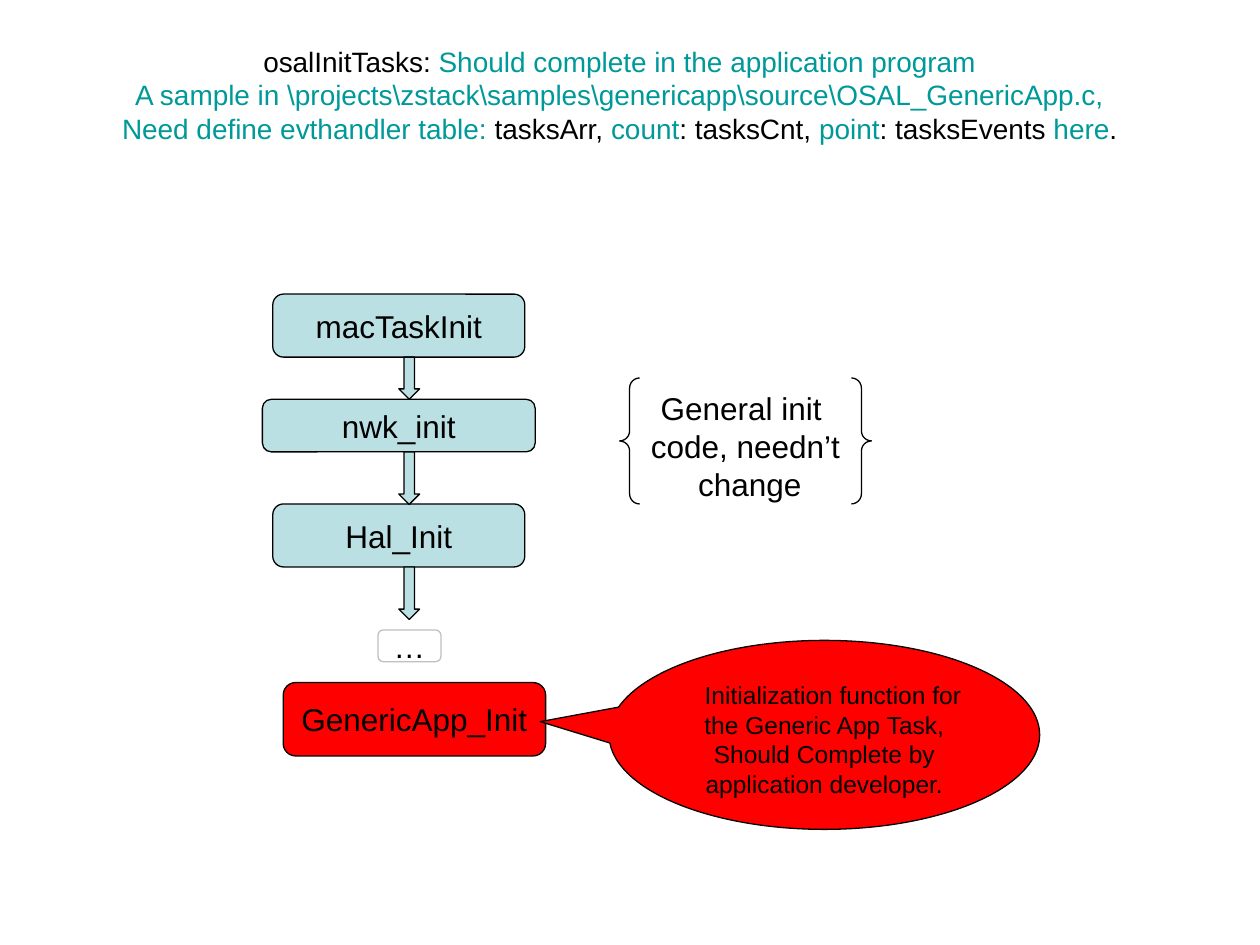
from lxml import etree
from pptx import Presentation
from pptx.dml.color import RGBColor
from pptx.enum.shapes import MSO_SHAPE
from pptx.enum.text import MSO_ANCHOR, PP_ALIGN
from pptx.oxml.ns import qn
from pptx.util import Cm, Pt

ROUNDED = MSO_SHAPE.ROUNDED_RECTANGLE
ARROW = MSO_SHAPE.DOWN_ARROW
BRACES = MSO_SHAPE.DOUBLE_BRACE
CALLOUT = MSO_SHAPE.OVAL_CALLOUT
CENTER = PP_ALIGN.CENTER
MIDDLE = MSO_ANCHOR.MIDDLE
TOP = MSO_ANCHOR.TOP

FONT = "Arial"
BLACK, TEAL, PALE, RED, GREY, WHITE = (
    "000000", "009999", "BBE0E3", "FF0000", "C0C0C0", "FFFFFF")

TITLE_LINES = [
    [("osalInitTasks: ", BLACK),
     ("Should complete in the application program", TEAL)],
    [("A sample in \\projects\\zstack\\samples\\genericapp\\source\\OSAL_GenericApp.c,", TEAL)],
    [("Need define evthandler table: ", TEAL), ("tasksArr, ", BLACK),
     ("count", TEAL), (": tasksCnt, ", BLACK), ("point", TEAL),
     (": tasksEvents ", BLACK), ("here", TEAL), (".", BLACK)],
]

STEPS = [
    ("macTaskInit", 0.21, 0, 5.08, 1.27, PALE, BLACK),
    ("nwk_init", 0, 2.12, 5.5, 1.06, PALE, BLACK),
    ("Hal_Init", 0.21, 4.23, 5.08, 1.27, PALE, BLACK),
    ("…", 2.33, 6.77, 1.27, 0.64, WHITE, GREY),
    ("GenericApp_Init", 0.42, 7.83, 5.29, 1.48, RED, BLACK),
]
ARROWS = [(1.27, 0.85), (3.18, 1.06), (5.5, 1.06)]


def color(value):
    return RGBColor.from_string(value)


def style_span(span, size, value=BLACK):
    span.font.name = FONT
    span.font.size = Pt(size)
    span.font.color.rgb = color(value)


def add_box(page, kind, left, top, width, height, fill, line, adjustments):
    box = page.shapes.add_shape(kind, Cm(left), Cm(top), Cm(width), Cm(height))
    box.shadow.inherit = False
    if fill:
        box.fill.solid()
        box.fill.fore_color.rgb = color(fill)
    else:
        box.fill.background()
    box.line.color.rgb = color(line)
    box.line.width = Pt(0.75)
    for index, value in enumerate(adjustments):
        box.adjustments[index] = value
    return box


def write(box, text, size=18, anchor=MIDDLE, wrap=False):
    frame = box.text_frame
    frame.word_wrap = wrap
    frame.vertical_anchor = anchor
    frame.text = text
    for para in frame.paragraphs:
        para.alignment = CENTER
        for span in para.runs:
            style_span(span, size)


def add_title(page, left, top, width, height):
    title = page.shapes.title
    title.left, title.top = Cm(left), Cm(top)
    title.width, title.height = Cm(width), Cm(height)
    title.text_frame.word_wrap = True
    title.text_frame.vertical_anchor = MIDDLE
    para = title.text_frame.paragraphs[0]
    para.alignment = CENTER
    for number, line in enumerate(TITLE_LINES):
        if number:
            para.add_line_break()
        for text, value in line:
            span = para.add_run()
            span.text = text
            style_span(span, 16, value)
    for line_break in para._p.findall(qn("a:br")):
        etree.SubElement(line_break, qn("a:rPr"), sz="1600")


def add_flow(page, left, top):
    for text, x, y, width, height, fill, line in STEPS:
        step = add_box(page, ROUNDED, left + x, top + y, width, height,
                       fill, line, [0.17])
        write(step, text)
    arrow_width = 0.42
    for y, height in ARROWS:
        add_box(page, ARROW, left + 2.75, top + y, arrow_width, height,
                PALE, BLACK, [0.5, 0.5])


def add_remark(page, left, top, width, height):
    braces = add_box(page, BRACES, left, top, width, height, None, BLACK, [0.08])
    write(braces, "General init \ncode, needn’t\n change")


def add_callout(page, left, top, width, height):
    callout = add_box(page, CALLOUT, left, top, width, height, RED, BLACK,
                      [-0.66, -0.07])
    write(callout, "Initialization function for the Generic App Task, "
          "Should Complete by application developer.", 14, TOP, True)
    callout.text_frame.margin_top = Cm(0.25)
    first = callout.text_frame.paragraphs[0]
    first._p.get_or_add_pPr().set("indent", str(Cm(0.35)))


def main():
    deck = Presentation()
    deck.slide_width, deck.slide_height = Cm(25.4), Cm(19.05)
    page = deck.slides.add_slide(deck.slide_layouts[5])
    add_title(page, 0.64, 0.64, 23.7, 2.54)
    add_flow(page, 5.29, 5.93)
    add_remark(page, 12.49, 7.62, 5.08, 2.54)
    add_callout(page, 12.28, 12.91, 8.68, 3.81)
    deck.save("out.pptx")


if __name__ == "__main__":
    main()
